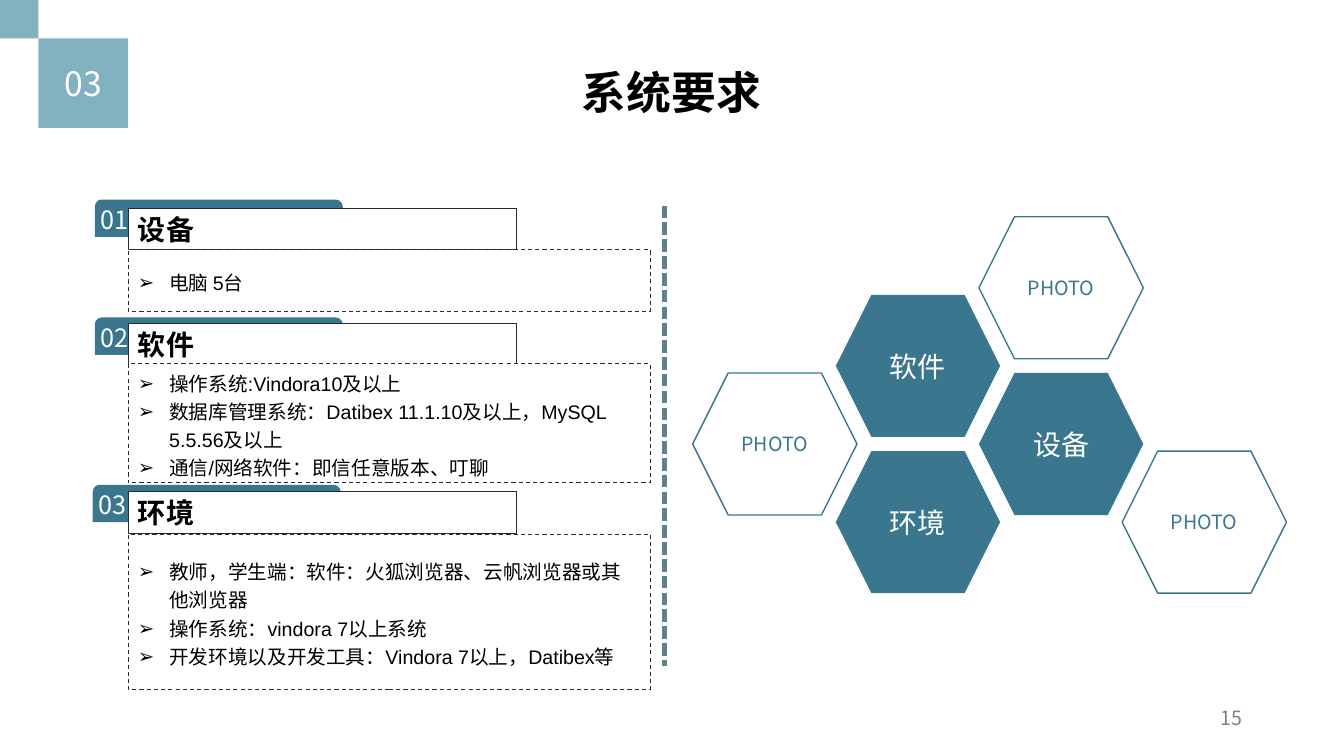
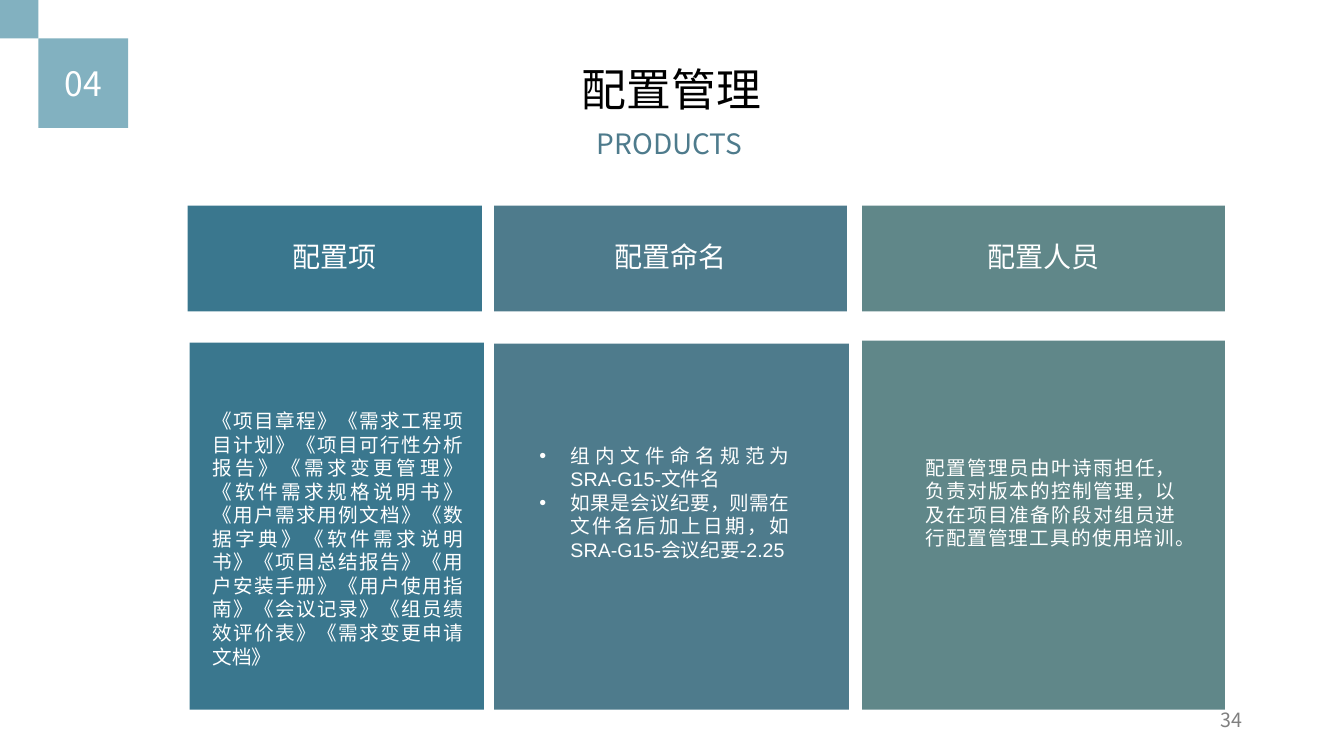
from lxml.etree import SubElement
from pptx import Presentation
from pptx.dml.color import RGBColor
from pptx.enum.dml import MSO_LINE as Dash
from pptx.enum.shapes import MSO_CONNECTOR as Connector, MSO_SHAPE as Shape
from pptx.enum.text import MSO_ANCHOR as Anchor, MSO_AUTO_SIZE as AutoSize, PP_ALIGN as Align
from pptx.oxml.ns import qn
from pptx.util import Inches, Pt

# Shared style
WIDTH, HEIGHT = 13.33, 7.5
SANS, LATIN = "Noto Sans CJK SC", "Arial"
TEAL, STEEL, SAGE, SKY = "3A778E", "4E7B8C", "608789", "82B1C0"
DIVIDER, NAVY, GREY, WHITE, BLACK = "608385", "222A35", "808080", "FFFFFF", "000000"
CORNER, BADGE = 0.38, 0.89
INDENT = 0.31

# System requirements: tab position, heading top, list top and height
REQUIREMENTS = [
    ("01", "设备", (0.94, 1.98), 2.07, (2.48, 0.61), ["电脑 5台"]),
    ("02", "软件", (0.94, 3.15), 3.21, (3.61, 1.18), [
        "操作系统:Vindora10及以上",
        "数据库管理系统：Datibex 11.1.10及以上，MySQL 5.5.56及以上",
        "通信/网络软件：即信任意版本、叮聊"]),
    ("03", "环境", (0.92, 4.81), 4.88, (5.3, 1.54), [
        "教师，学生端：软件：火狐浏览器、云帆浏览器或其他浏览器",
        "操作系统：vindora 7以上系统",
        "开发环境以及开发工具：Vindora 7以上，Datibex等"]),
]
LIST_LEFT, LIST_WIDTH = 1.27, 5.18

# Honeycomb: label, column, half-row, filled
HONEYCOMB = [
    ("软件", 1, 1, True), ("环境", 1, 3, True), ("设备", 2, 2, True),
    ("PHOTO", 2, 0, False), ("PHOTO", 3, 3, False), ("PHOTO", 0, 2, False),
]
COMB_LEFT, COMB_TOP, COMB_COL, COMB_ROW = 6.87, 2.15, 1.42, 0.775

# Configuration management: heading, colour, header span, panel box, text box, bullet, text
CONFIGURATION = [
    ("配置项", TEAL, (1.86, 2.92), (1.88, 3.4, 2.92, 3.64), (2.01, 4.01, 2.68, 2.46), None, [
        "《项目章程》《需求工程项目计划》《项目可行性分析报告》《需求变更管理》"
        "《软件需求规格说明书》《用户需求用例文档》《数据字典》《软件需求说明书》"
        "《项目总结报告》《用户安装手册》《用户使用指南》《会议记录》"
        "《组员绩效评价表》《需求变更申请文档》"]),
    ("配置命名", STEEL, (4.9, 3.5), (4.9, 3.41, 3.52, 3.63), (5.25, 4.35, 2.68, 1.28), "•", [
        "组内文件命名规范为 SRA-G15-文件名",
        "如果是会议纪要，则需在文件名后加上日期，如 SRA-G15-会议纪要-2.25"]),
    ("配置人员", SAGE, (8.55, 3.6), (8.55, 3.38, 3.6, 3.66), (9.08, 4.47, 2.68, 1.04), None, [
        "配置管理员由叶诗雨担任，负责对版本的控制管理，"
        "以及在项目准备阶段对组员进行配置管理工具的使用培训。"]),
]
HEADER_TOP, HEADER_HEIGHT = 2.04, 1.05


def rgb(code):
    return RGBColor.from_string(code)


def write(shape, lines, size=14, color=BLACK, face=SANS, bold=False, align=Align.LEFT,
          anchor=Anchor.TOP, bullet=None, spacing=None, insets=(0.1, 0.05, 0.1, 0.05)):
    """Fill a shape, text box or placeholder with formatted paragraphs."""
    frame = shape.text_frame
    frame.word_wrap = True
    frame.auto_size = AutoSize.NONE
    frame.vertical_anchor = anchor
    (frame.margin_left, frame.margin_top,
     frame.margin_right, frame.margin_bottom) = map(Inches, insets)
    for number, line in enumerate([lines] if isinstance(lines, str) else lines):
        paragraph = frame.add_paragraph() if number else frame.paragraphs[0]
        paragraph.alignment = align
        if spacing:
            paragraph.line_spacing = spacing
        if bullet:
            props = paragraph._p.get_or_add_pPr()
            props.set("marL", str(Inches(INDENT)))
            props.set("indent", str(-Inches(INDENT)))
            SubElement(props, qn("a:buFont"), typeface=LATIN)
            SubElement(props, qn("a:buChar"), char=bullet)
        run = paragraph.add_run()
        run.text = line
        font = run.font
        font.name, font.size, font.bold = face, Pt(size), bold
        font.color.rgb = rgb(color)
        SubElement(font._element, qn("a:ea"), typeface=SANS)


def draw(slide, box, fill, kind=Shape.RECTANGLE, line=None, weight=0.75, dash=None):
    shape = slide.shapes.add_shape(kind, *map(Inches, box))
    shape.shadow.inherit = False
    shape.fill.solid()
    shape.fill.fore_color.rgb = rgb(fill)
    if line:
        shape.line.color.rgb = rgb(line)
        shape.line.width = Pt(weight)
        if dash:
            shape.line.dash_style = dash
    else:
        shape.line.fill.background()
    return shape


def label(slide, box, lines, **style):
    write(slide.shapes.add_textbox(*map(Inches, box)), lines, **style)


def start_slide(deck, section, title, title_top, page, page_top, **title_style):
    """Add a slide with the corner badge, title and page number."""
    slide = deck.slides.add_slide(deck.slide_layouts[5])
    draw(slide, (0, 0, CORNER, CORNER), SKY)
    badge = draw(slide, (CORNER, CORNER, BADGE, BADGE), SKY)
    write(badge, section, size=24, color=WHITE, align=Align.CENTER, anchor=Anchor.MIDDLE)
    heading = slide.shapes.title
    heading.left, heading.top, heading.width, heading.height = map(
        Inches, (1.72, title_top, 9.88, 0.64))
    write(heading, title, size=32, align=Align.CENTER, **title_style)
    label(slide, (9.42, page_top, 3, 0.4), page, color=GREY, align=Align.RIGHT)
    return slide


def build_requirements(deck):
    slide = start_slide(deck, "03", "系统要求", 0.59, "15", 6.95, face=LATIN, bold=True)

    # Numbered lists
    for number, name, tab_at, heading_top, (list_top, list_height), items in REQUIREMENTS:
        tab = draw(slide, (*tab_at, 2.46, 0.37), TEAL, Shape.ROUND_2_SAME_RECTANGLE)
        tab.adjustments[0] = 0.19
        write(tab, number, size=18, color=WHITE, align=Align.JUSTIFY,
              anchor=Anchor.MIDDLE, insets=(0.04, 0, 0.1, 0))
        heading = draw(slide, (LIST_LEFT, heading_top, 3.85, 0.41), WHITE, line=NAVY)
        write(heading, name, size=20, bold=True, align=Align.JUSTIFY, anchor=Anchor.MIDDLE)
        panel = draw(slide, (LIST_LEFT, list_top, LIST_WIDTH, list_height), WHITE,
                     line=NAVY, dash=Dash.DASH)
        write(panel, items, face=LATIN, anchor=Anchor.MIDDLE, bullet="➢", spacing=1.2)

    # Divider
    divider = slide.shapes.add_connector(
        Connector.STRAIGHT, *map(Inches, (6.59, 2.04, 6.59, 6.61)))
    divider.line.color.rgb = rgb(DIVIDER)
    divider.line.width = Pt(3)
    divider.line.dash_style = Dash.SQUARE_DOT
    SubElement(divider._element.spPr, qn("a:effectLst"))

    # Honeycomb
    for name, column, row, filled in HONEYCOMB:
        box = (COMB_LEFT + column * COMB_COL, COMB_TOP + row * COMB_ROW, 1.63, 1.41)
        cell = draw(slide, box, TEAL if filled else WHITE, Shape.HEXAGON,
                    line=None if filled else TEAL, weight=1)
        write(cell, name, size=20 if filled else 14, color=WHITE if filled else TEAL,
              align=Align.CENTER, anchor=Anchor.MIDDLE)


def build_configuration(deck):
    slide = start_slide(deck, "04", "配置管理", 0.56, "34", 6.97)
    label(slide, (1.72, 1.21, 9.84, 0.44), "PRODUCTS", size=20, color=STEEL,
          align=Align.CENTER)

    # Header and panel of each column
    for name, color, (left, width), panel, text_box, bullet, lines in CONFIGURATION:
        header = draw(slide, (left, HEADER_TOP, width, HEADER_HEIGHT), color)
        write(header, name, size=20, color=WHITE, align=Align.CENTER,
              anchor=Anchor.MIDDLE, insets=(0.1, 0.05, 0.1, 0.1))
        draw(slide, panel, color)
        label(slide, text_box, lines, color=WHITE, face=LATIN, align=Align.JUSTIFY,
              bullet=bullet)


def main():
    deck = Presentation()
    deck.slide_width, deck.slide_height = Inches(WIDTH), Inches(HEIGHT)
    build_requirements(deck)
    build_configuration(deck)
    deck.save("out.pptx")


if __name__ == "__main__":
    main()
